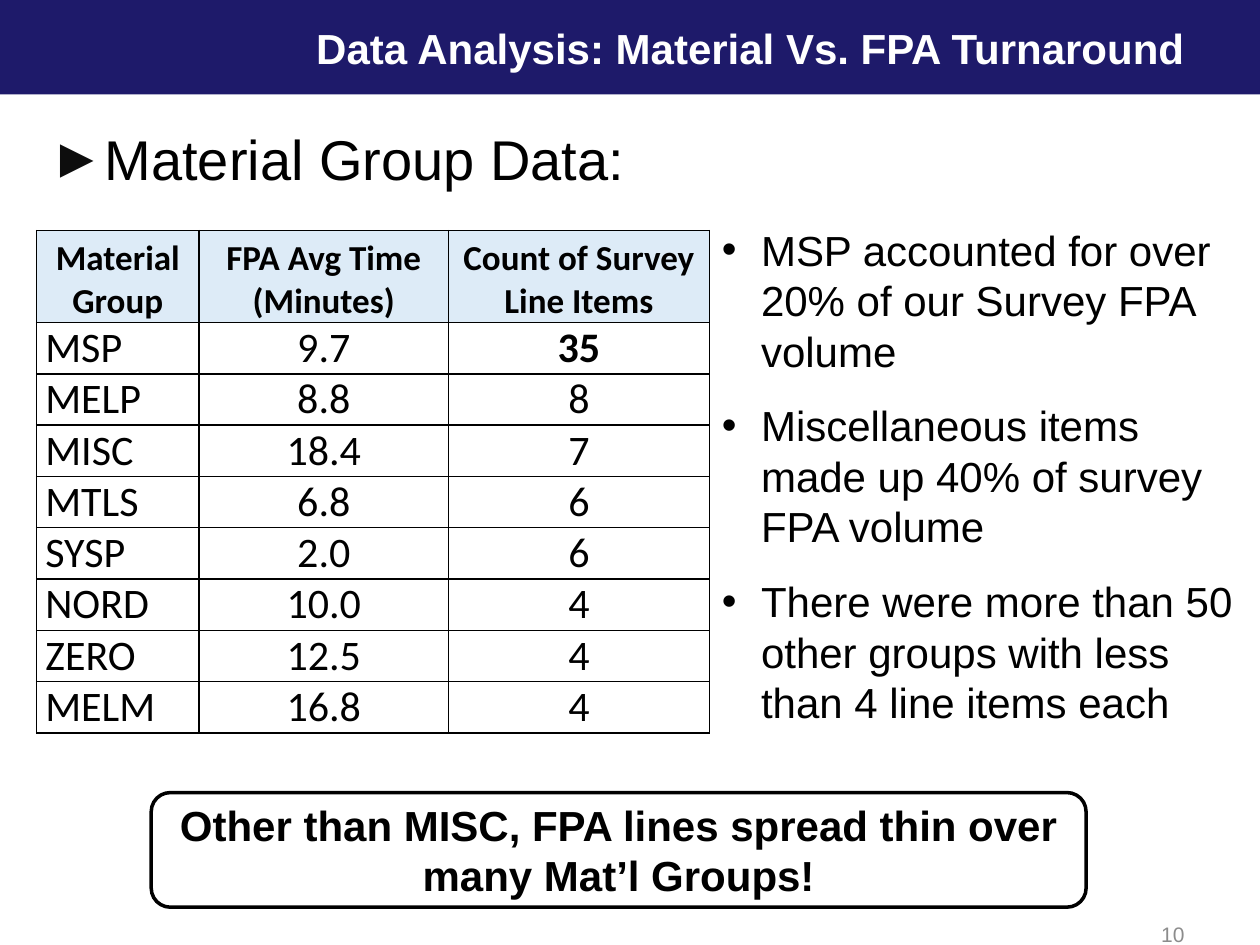
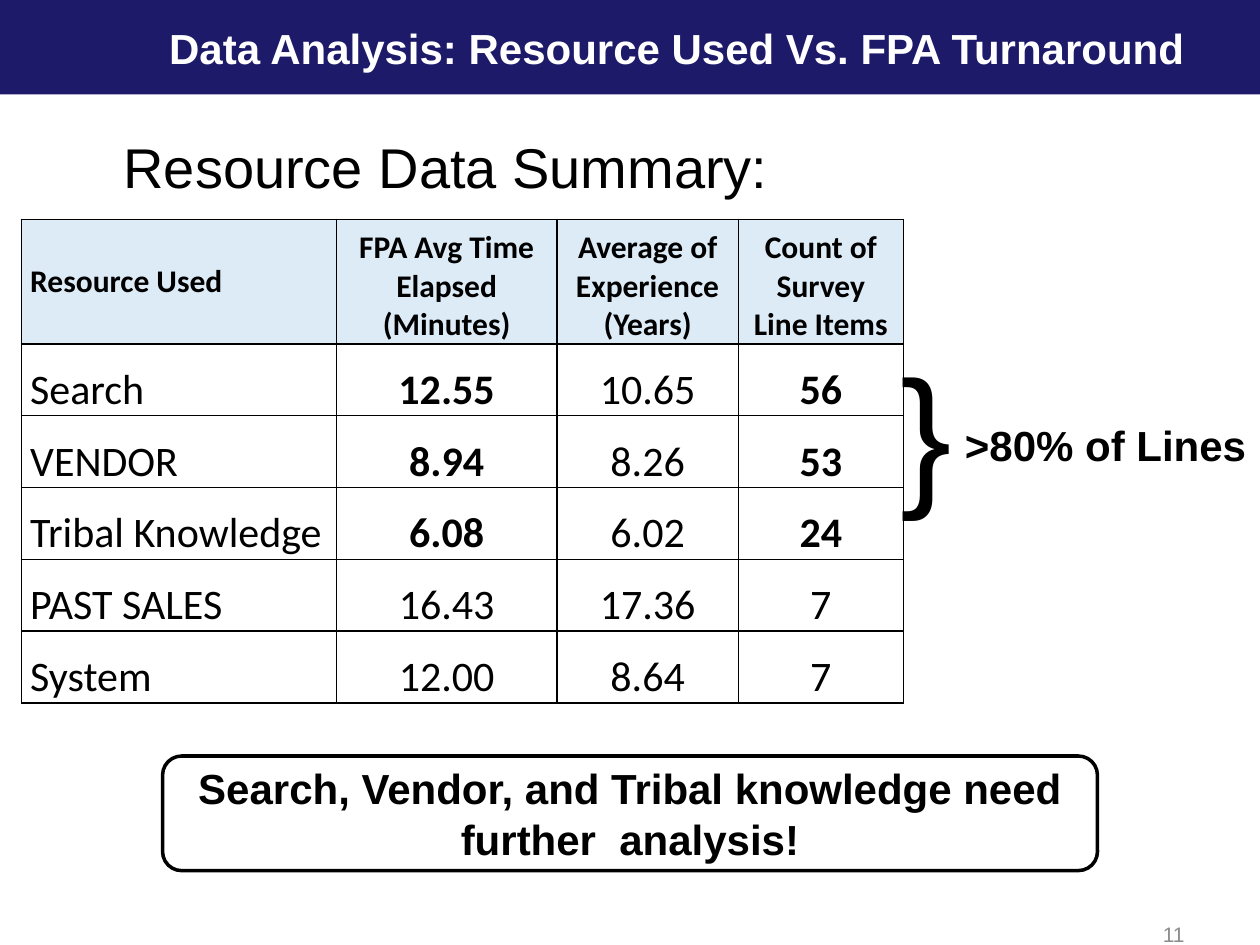
from dataclasses import dataclass
from itertools import product

from lxml.etree import SubElement as Sub
from pptx import Presentation
from pptx.dml.color import RGBColor
from pptx.enum.shapes import MSO_SHAPE as Kind
from pptx.enum.text import MSO_ANCHOR as Anchor, MSO_AUTO_SIZE as Fit, PP_ALIGN as Align
from pptx.oxml.ns import qn
from pptx.util import Inches, Pt

NAVY = RGBColor(0x1E, 0x1A, 0x6A)
WHITE = RGBColor(0xFF, 0xFF, 0xFF)
BLACK = RGBColor(0, 0, 0)
PALE = RGBColor(0xDD, 0xEB, 0xF7)
GREY = RGBColor(0x8C, 0x8C, 0x8C)
DARK = RGBColor(0x0D, 0x0D, 0x0D)


@dataclass
class Box:
    left: float
    top: float
    width: float
    height: float

    def spans(self) -> tuple:
        return tuple(Inches(n) for n in (self.left, self.top, self.width, self.height))


@dataclass
class Grid:
    left: float
    top: float
    cols: list
    head: float
    row: float
    size: int
    cells: list
    bold: set
    flush: bool = False


def style(para, size: float, color=BLACK, bold: bool = False, font: str = "Arial") -> None:
    for run in para.runs:
        run.font.name, run.font.size = font, Pt(size)
        run.font.bold, run.font.color.rgb = bold, color


def place(shape, box: Box) -> None:
    shape.left, shape.top, shape.width, shape.height = box.spans()


def write(shape, text: str, size: float, color=BLACK, bold: bool = False,
          align=Align.LEFT, anchor=Anchor.TOP, wrap: bool = True) -> None:
    frame = shape.text_frame
    frame.text = text
    frame.word_wrap, frame.auto_size = wrap, Fit.NONE
    frame.vertical_anchor = anchor
    for para in frame.paragraphs:
        para.alignment = align
        style(para, size, color, bold)


def bullet(para, margin: float, mark: str = "", color=None) -> None:
    props = para._p.get_or_add_pPr()
    props.set("marL", str(Inches(margin)))
    props.set("indent", str(-Inches(margin) if mark else 0))
    if color is not None:
        Sub(Sub(props, qn("a:buClr")), qn("a:srgbClr"), val=str(color))
    if mark:
        Sub(props, qn("a:buFont"), typeface="Arial")
        Sub(props, qn("a:buChar"), char=mark)
    else:
        Sub(props, qn("a:buNone"))


def label(slide, box: Box, text: str, size: float, **look):
    shape = slide.shapes.add_textbox(*box.spans())
    write(shape, text, size, **look)
    return shape


def start(deck, layout: int, title: str, page: int):
    slide = deck.slides.add_slide(deck.slide_layouts[layout])
    band = slide.shapes.add_shape(Kind.RECTANGLE, *Box(0, 0, 10, 0.75).spans())
    band.shadow.inherit = False
    band.fill.solid()
    band.fill.fore_color.rgb = NAVY
    band.line.fill.background()
    slide.shapes._spTree.insert(2, band._element)
    head = slide.shapes.title
    place(head, Box(1.11, 0, 8.39, 0.75))
    write(head, title, 24, WHITE, True, Align.RIGHT, Anchor.MIDDLE)
    label(slide, Box(9.08, 7.33, 0.42, 0.17), str(page), 12,
          color=GREY, align=Align.RIGHT, anchor=Anchor.MIDDLE)
    return slide


def topic(slide, box: Box, text: str, margin: float, mark: str = "", color=None) -> None:
    body = slide.placeholders[1]
    place(body, box)
    write(body, text, 32)
    bullet(body.text_frame.paragraphs[0], margin, mark, color)


def points(slide, box: Box, items: list) -> None:
    body = slide.placeholders[2]
    place(body, box)
    write(body, "\n".join(items), 24)
    for i, para in enumerate(body.text_frame.paragraphs):
        para.space_before = Pt(14 if i else 0)
        bullet(para, 0.31, "•")


def border(cell) -> None:
    props = cell._tc.get_or_add_tcPr()
    for side in "LRTB":
        line = Sub(props, qn(f"a:ln{side}"), w=str(Pt(1)))
        Sub(Sub(line, qn("a:solidFill")), qn("a:srgbClr"), val=str(BLACK))


def draw(slide, grid: Grid) -> None:
    rows = len(grid.cells)
    box = Box(grid.left, grid.top, sum(grid.cols), grid.head + grid.row * (rows - 1))
    table = slide.shapes.add_table(rows, len(grid.cols), *box.spans()).table
    table.first_row = table.horz_banding = False
    for c, width in enumerate(grid.cols):
        table.columns[c].width = Inches(width)
    for r, texts in enumerate(grid.cells):
        table.rows[r].height = Inches(grid.row if r else grid.head)
        for c, text in enumerate(texts):
            cell = table.cell(r, c)
            border(cell)
            if r:
                cell.fill.background()
            else:
                cell.fill.solid()
                cell.fill.fore_color.rgb = PALE
            cell.margin_left = cell.margin_right = Inches(0.07)
            cell.margin_top = cell.margin_bottom = 0
            left = c == 0 and (r > 0 or grid.flush)
            cell.vertical_anchor = Anchor.MIDDLE if left and not r else Anchor.BOTTOM
            cell.text_frame.text = text
            for para in cell.text_frame.paragraphs:
                para.alignment = Align.LEFT if left else Align.CENTER
                style(para, 24 if r else grid.size, bold=not r or (r, c) in grid.bold,
                      font="Calibri")


def callout(slide, left: float, top: float, text: str) -> None:
    shape = slide.shapes.add_shape(Kind.ROUNDED_RECTANGLE, *Box(left, top, 7.42, 0.91).spans())
    shape.shadow.inherit = False
    shape.fill.solid()
    shape.fill.fore_color.rgb = WHITE
    shape.line.color.rgb, shape.line.width = BLACK, Pt(2)
    write(shape, text, 24, bold=True, align=Align.CENTER, anchor=Anchor.MIDDLE)


GROUPS = Grid(0.29, 1.83, [1.29, 1.98, 2.07], 0.73, 0.4, 20, [
    ["Material Group", "FPA Avg Time (Minutes)", "Count of Survey Line Items"],
    ["MSP", "9.7", "35"],
    ["MELP", "8.8", "8"],
    ["MISC", "18.4", "7"],
    ["MTLS", "6.8", "6"],
    ["SYSP", "2.0", "6"],
    ["NORD", "10.0", "4"],
    ["ZERO", "12.5", "4"],
    ["MELM", "16.8", "4"],
], {(1, 2)})

TOOLS = Grid(0.17, 1.74, [2.5, 1.75, 1.44, 1.31], 0.99, 0.57, 18, [
    ["Resource Used", "FPA Avg Time Elapsed\n(Minutes)",
     "Average of Experience (Years)", "Count of Survey Line Items"],
    ["Search", "12.55", "10.65", "56"],
    ["VENDOR", "8.94", "8.26", "53"],
    ["Tribal Knowledge", "6.08", "6.02", "24"],
    ["PAST SALES", "16.43", "17.36", "7"],
    ["System", "12.00", "8.64", "7"],
], set(product((1, 2, 3), (1, 3))), flush=True)

deck = Presentation()
deck.slide_width, deck.slide_height = Inches(10), Inches(7.5)

slide = start(deck, 3, "Data Analysis: Material Vs. FPA Turnaround", 10)
topic(slide, Box(0.29, 0.94, 9, 5.83), "Material Group Data:", 0.4, "►", DARK)
draw(slide, GROUPS)
points(slide, Box(5.63, 1.73, 4.36, 4.14), [
    "MSP accounted for over 20% of our Survey FPA volume",
    "Miscellaneous items made up 40% of survey FPA volume",
    "There were more than 50 other groups with less than 4 line items each",
])
callout(slide, 1.2, 6.29, "Other than MISC, FPA lines spread thin over many Mat’l Groups!")

slide = start(deck, 1, "Data Analysis: Resource Used Vs. FPA Turnaround", 11)
topic(slide, Box(0.15, 1, 9, 5.83), "Resource Data Summary:", 0.73)
draw(slide, TOOLS)
label(slide, Box(7.05, 2.61, 0.64, 1.58), "}", 88)
label(slide, Box(7.56, 3.28, 2.55, 0.5), ">80% of Lines", 24, bold=True, wrap=False)
callout(slide, 1.29, 6, "Search, Vendor, and Tribal knowledge need further  analysis!")

deck.save("out.pptx")
